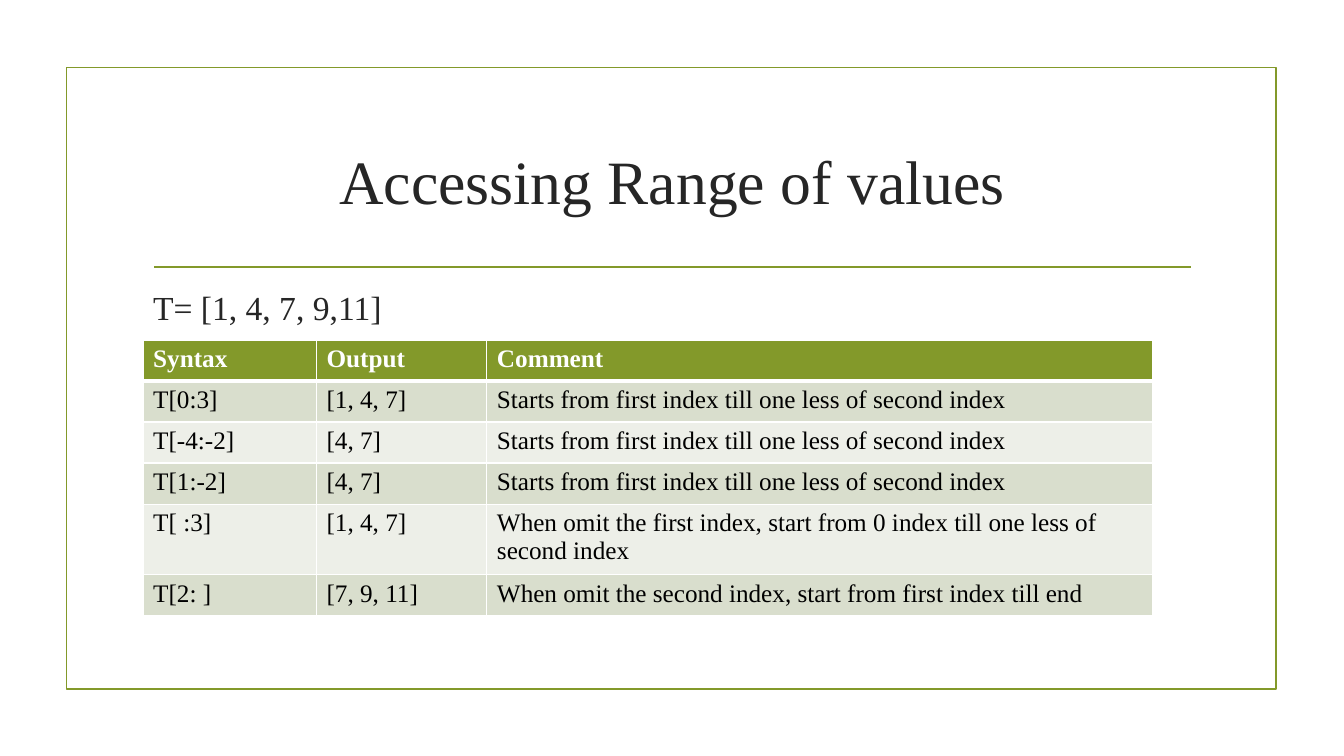
from dataclasses import dataclass
from typing import NamedTuple

from lxml.etree import SubElement as Sub
from pptx import Presentation as Deck
from pptx.dml.color import RGBColor as Color
from pptx.enum.shapes import MSO_CONNECTOR as Link, MSO_SHAPE as Kind
from pptx.enum.text import MSO_ANCHOR as Anchor, PP_ALIGN as Align
from pptx.oxml.ns import qn
from pptx.util import Inches, Pt

WIDE = Inches(13.33)
HIGH = Inches(7.5)
FONT = "Times New Roman"
OLIVE = Color(0x83, 0x99, 0x2A)
INK = Color(0x26, 0x26, 0x26)
BLACK = Color(0, 0, 0)
WHITE = Color(255, 255, 255)
BANDS = (Color(0xD9, 0xDE, 0xCD), Color(0xED, 0xEF, 0xE8))
COLS = (12.9, 12.68, 49.51)
ROW = 5.43
RULE = Pt(1.25)


class Box(NamedTuple):
    left: float
    top: float
    width: float
    height: float

    def place(self) -> tuple[int, int, int, int]:
        return (across(self.left), down(self.top),
                across(self.width), down(self.height))


@dataclass
class Label:
    box: Box
    text: str
    size: int
    align: Align
    anchor: Anchor
    after: int = 0


class Entry(NamedTuple):
    syntax: str
    output: str
    comment: str


FRAME = Box(4.95, 8.93, 90, 82.27)
GRID = Box(10.65, 44.97, sum(COLS), 6 * ROW)
LABELS = (
    Label(Box(10.65, 14.27, 78.77, 19.07), "Accessing Range of values",
          44, Align.CENTER, Anchor.MIDDLE),
    Label(Box(10.65, 37.33, 78.77, 48.4), "T= [1, 4, 7, 9,11]",
          24, Align.LEFT, Anchor.TOP, 6),
)
USUAL = "Starts from first index till one less of second index"
ROWS = (
    Entry("Syntax", "Output", "Comment"),
    Entry("T[0:3]", "[1, 4, 7]", USUAL),
    Entry("T[-4:-2]", "[4, 7]", USUAL),
    Entry("T[1:-2]", "[4, 7]", USUAL),
    Entry("T[ :3]", "[1, 4, 7]",
          "When omit the first index, start from 0 index "
          "till one less of second index"),
    Entry("T[2: ]", "[7, 9, 11]",
          "When omit the second index, start from first index till end"),
)


def across(share: float) -> int:
    return round(WIDE * share / 100)


def down(share: float) -> int:
    return round(HIGH * share / 100)


def write(para, text: str, size: int, color: Color, bold: bool = False) -> None:
    run = para.add_run()
    run.text = text
    font = run.font
    font.name, font.size, font.bold = FONT, Pt(size), bold
    font.color.rgb = color


def stroke(line) -> None:
    line.color.rgb = OLIVE
    line.width = RULE


def draw_frame(slide) -> None:
    frame = slide.shapes.add_shape(Kind.RECTANGLE, *FRAME.place())
    frame.shadow.inherit = False
    frame.fill.background()
    stroke(frame.line)
    level = down(35.33)
    rule = slide.shapes.add_connector(
        Link.STRAIGHT, across(11.48), level, across(88.6), level)
    stroke(rule.line)
    Sub(rule._element.spPr, qn("a:effectLst"))


def draw_label(slide, label: Label) -> None:
    frame = slide.shapes.add_textbox(*label.box.place()).text_frame
    frame.word_wrap = True
    frame.vertical_anchor = label.anchor
    para = frame.paragraphs[0]
    para.alignment = label.align
    para.space_after = Pt(label.after)
    write(para, label.text, label.size, INK)


def edge(cell, side: str, width: int) -> None:
    line = Sub(cell._tc.get_or_add_tcPr(), qn(f"a:ln{side}"), w=str(Pt(width)))
    fill = Sub(line, qn("a:solidFill"))
    Sub(fill, qn("a:srgbClr"), val=str(WHITE))


def draw_cell(cell, text: str, row: int) -> None:
    head = row == 0
    for side in "LRTB":
        thick = (row, side) in ((0, "B"), (1, "T"))
        edge(cell, side, 3 if thick else 1)
    cell.fill.solid()
    cell.fill.fore_color.rgb = OLIVE if head else BANDS[(row - 1) % 2]
    write(cell.text_frame.paragraphs[0], text, 18,
          WHITE if head else BLACK, head)


def draw_table(slide) -> None:
    table = slide.shapes.add_table(len(ROWS), len(COLS), *GRID.place()).table
    for col, share in zip(table.columns, COLS):
        col.width = across(share)
    for row, entry in enumerate(ROWS):
        table.rows[row].height = down(ROW)
        for col, text in enumerate(entry):
            draw_cell(table.cell(row, col), text, row)


def main() -> None:
    deck = Deck()
    deck.slide_width, deck.slide_height = WIDE, HIGH
    slide = deck.slides.add_slide(deck.slide_layouts[6])
    draw_frame(slide)
    for label in LABELS:
        draw_label(slide, label)
    draw_table(slide)
    deck.save("out.pptx")


if __name__ == "__main__":
    main()
